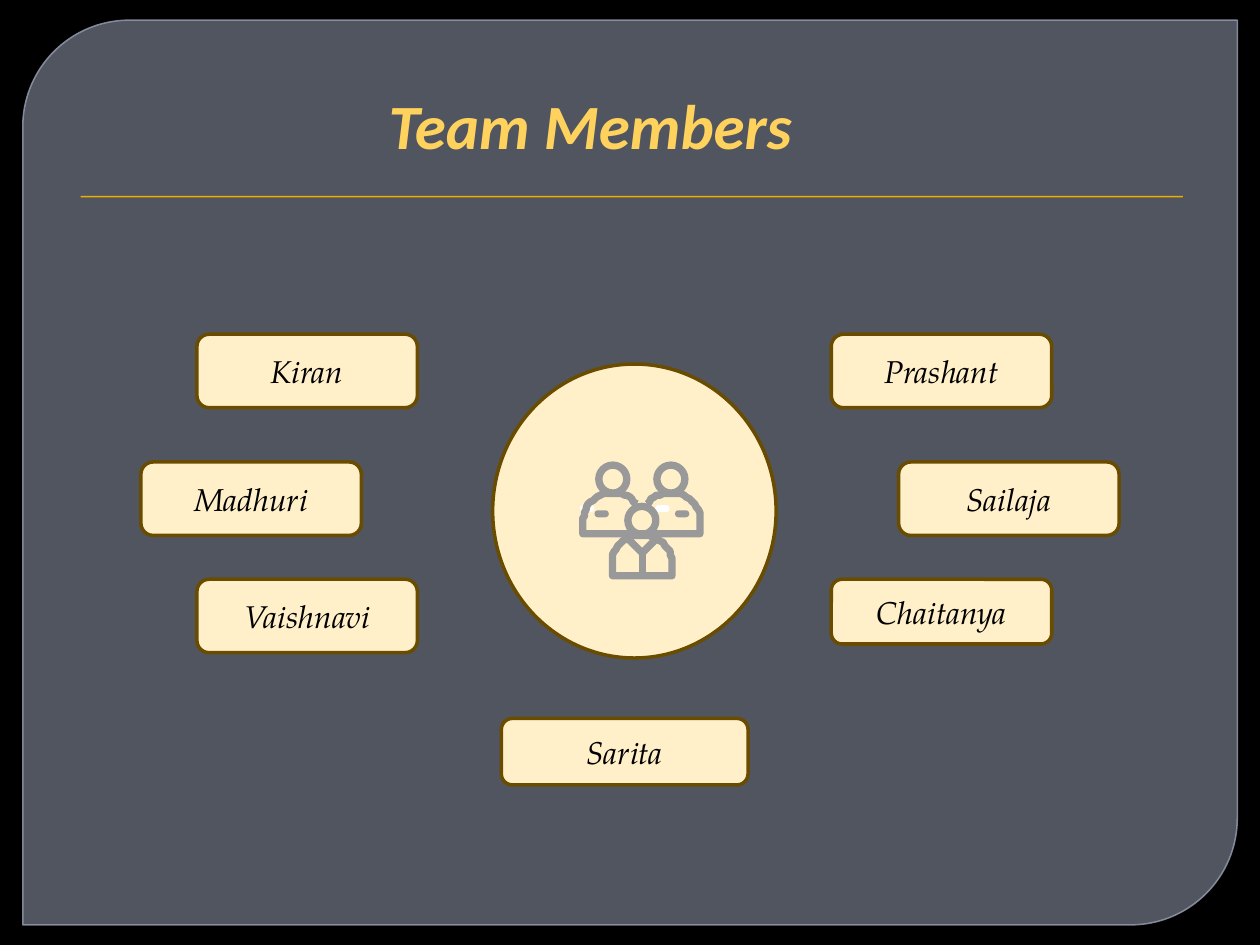
from dataclasses import dataclass
from math import cos, radians, sin

from lxml.etree import SubElement
from pptx import Presentation
from pptx.dml.color import RGBColor
from pptx.enum.shapes import MSO_SHAPE as Kind
from pptx.enum.text import MSO_ANCHOR as Anchor, PP_ALIGN as Align
from pptx.oxml.ns import qn
from pptx.util import Pt


@dataclass(frozen=True)
class Theme:
    back: str = "000000"
    panel: str = "7C8394"
    panel_edge: str = "9096A9"
    rule: str = "F0AD00"
    title: str = "FFD25D"
    cream: str = "FFF0C9"
    brown: str = "694C00"
    ink: str = "000000"
    icon: str = "999999"
    glint: str = "FFFFFF"
    title_font: str = "Calibri"
    name_font: str = "TeX Gyre Pagella"
    title_size: float = 36
    name_size: float = 18
    edge: float = 2
    stroke: float = 4.2


theme = Theme()

# Content: name, left, top, width, height
TITLE = "Team Members"
CARD = (126, 42)
ROWS = (191, 264, 331)
MEMBERS = [
    ("Prashant", 475, ROWS[0], *CARD),
    ("Sailaja", 513.5, ROWS[1], *CARD),
    ("Kiran", 112.5, ROWS[0], *CARD),
    ("Madhuri", 80.5, ROWS[1], *CARD),
    ("Vaishnavi", 112.5, ROWS[2], *CARD),
    ("Chaitanya", 475, ROWS[2], 126, 37),
    ("Sarita", 286.5, 410.5, 141, 38),
]

deck = Presentation()
deck.slide_width, deck.slide_height = Pt(720), Pt(540)
page = deck.slides.add_slide(deck.slide_layouts[6])
page.background.fill.solid()
page.background.fill.fore_color.rgb = RGBColor.from_string(theme.back)


def paint(shape, fill=None, line=None, weight=theme.edge):
    shape.shadow.inherit = False
    if fill:
        shape.fill.solid()
        shape.fill.fore_color.rgb = RGBColor.from_string(fill)
    else:
        shape.fill.background()
    if line:
        shape.line.color.rgb = RGBColor.from_string(line)
        shape.line.width = Pt(weight)
    else:
        shape.line.fill.background()
    return shape


def add(kind, left, top, width, height, **look):
    shape = page.shapes.add_shape(kind, Pt(left), Pt(top), Pt(width), Pt(height))
    return paint(shape, **look)


def write(box, text, font, size, color, bold=False, align=Align.CENTER):
    frame = box.text_frame
    frame.word_wrap = True
    frame.vertical_anchor = Anchor.MIDDLE
    para = frame.paragraphs[0]
    para.alignment = align
    span = para.add_run()
    span.text = text
    span.font.name, span.font.size = font, Pt(size)
    span.font.bold, span.font.italic = bold, True
    span.font.color.rgb = RGBColor.from_string(color)


def fade(parent, percent):
    color = parent.find(qn("a:solidFill"))[0]
    SubElement(color, qn("a:alpha")).set("val", str(percent * 1000))


def outline(points, close=False):
    builder = page.shapes.build_freeform(*points[0], scale=float(Pt(1)))
    builder.add_line_segments(points[1:], close=close)
    return paint(builder.convert_to_shape(), line=theme.icon, weight=theme.stroke)


def arc(x, y, rx, ry, start, end, steps=24):
    angles = [radians(start + (end - start) * i / steps) for i in range(steps + 1)]
    return [(x + rx * cos(a), y + ry * sin(a)) for a in angles]


# Panel and rule
panel = add(Kind.ROUND_2_DIAG_RECTANGLE, 13, 11.5, 694, 517,
            fill=theme.panel, line=theme.panel_edge, weight=0.87)
panel.adjustments[0] = 0.118
panel.adjustments[1] = 0
panel_style = panel._element.spPr
fade(panel_style, 65)
fade(panel_style.find(qn("a:ln")), 88)
add(Kind.RECTANGLE, 46, 112, 630, 0.8, fill=theme.rule)

# Title
heading = page.shapes.add_textbox(Pt(222), Pt(26), Pt(450), Pt(90))
heading.text_frame.margin_left = 0
write(heading, TITLE, theme.title_font, theme.title_size, theme.title,
      bold=True, align=Align.LEFT)

# Centre disc and name cards
add(Kind.OVAL, 281.5, 208, 162, 168, fill=theme.cream, line=theme.brown)
for name, *place in MEMBERS:
    card = add(Kind.ROUNDED_RECTANGLE, *place, fill=theme.cream, line=theme.brown)
    write(card, name, theme.name_font, theme.name_size, theme.ink)

# Team icon, mirrored about its axis
AXIS, OFFSET, HEAD = 366.8, 16.6, 16


def pill(left, top, color):
    add(Kind.ROUNDED_RECTANGLE, left, top, 8.2, 4, fill=color).adjustments[0] = 0.5


def head(x, y):
    add(Kind.OVAL, x - HEAD / 2, y - HEAD / 2, HEAD, HEAD,
        line=theme.icon, weight=theme.stroke)


for left in (331.4, 374.4):
    pill(left, 288.6, theme.glint)
for side in (-1, 1):
    x = AXIS + side * OFFSET
    shoulder = arc(x, 298, side * 17, 16.5, 0, -142)
    outline([(AXIS, 305.3), (x + side * 17, 305.3), *shoulder])
    head(x, 273.8)
    pill(AXIS + side * 23 - 4.1, 291.6, theme.icon)
head(AXIS, 297.4)
outline([(AXIS - 17, 329.4), *arc(AXIS, 321.5, 17, 16, -180, 0),
         (AXIS + 17, 329.4)], close=True)
outline([(AXIS - 8, 307.5), (AXIS, 316.5), (AXIS + 8, 307.5)])
outline([(AXIS, 316.5), (AXIS, 329.4)])

deck.save("out.pptx")
